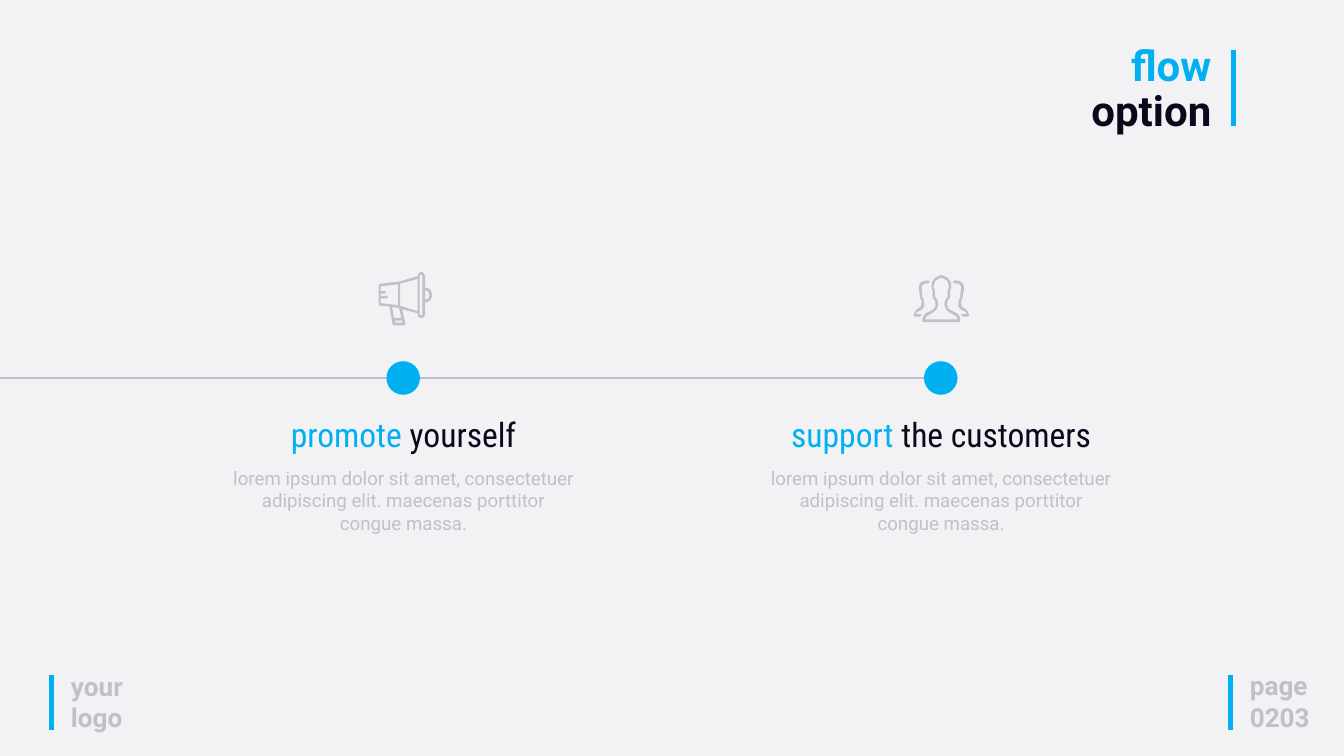
"""Build the "flow option" slide: a two-step timeline with icons and captions."""
from lxml import etree
from pptx import Presentation
from pptx import util as u
from pptx.dml.color import RGBColor
from pptx.enum import shapes, text
from pptx.oxml import ns

PX = 9525
ICON_UNIT = 9144
COLORS = {"bg": "F2F2F5", "accent": "00B0F0", "dark": "0A091B", "grey": "C0C0C8"}
LEFT, CENTER, RIGHT = text.PP_ALIGN.LEFT, text.PP_ALIGN.CENTER, text.PP_ALIGN.RIGHT


def rgb(name):
    return RGBColor.from_string(COLORS[name])


def mirror(points, width):
    return [(width - x, y) for x, y in reversed(points)]


MEGAPHONE = [
    [(69, 24), (69, 6), (67, 2), (63, 0), (60, 2), (58, 6), (58, 7), (30, 15),
     (3, 18), (1, 19), (0, 22), (0, 47), (1, 50), (3, 51), (16, 52), (21, 79),
     (23, 80), (38, 80), (40, 78), (35, 56), (58, 62), (58, 64), (60, 68),
     (63, 69), (67, 68), (69, 64), (69, 46), (74, 45), (78, 41), (80, 35),
     (78, 29), (74, 25)],
    [(3, 47), (3, 40), (12, 40), (14, 38), (12, 36), (3, 36), (3, 33), (9, 33),
     (11, 31), (9, 29), (3, 29), (3, 22), (29, 19), (29, 50)],
    [(23, 69), (20, 53), (30, 54), (34, 69)],
    [(35, 73), (36, 76), (25, 76), (24, 73)],
    [(58, 59), (32, 51), (32, 18), (58, 11)],
    [(65, 64), (63, 66), (61, 64), (61, 6), (63, 4), (65, 6)],
    [(69, 42), (69, 27), (74, 30), (76, 35), (74, 40)],
]

PEOPLE_WIDTH = 83
SIDE_PERSON = [
    (9, 53), (13, 51), (16, 47), (16, 42), (15, 36), (13, 32), (13, 26), (12, 19),
    (13, 15), (16, 13), (23, 12), (24, 10), (24, 9), (21, 8), (14, 9), (10, 12),
    (8, 17), (8, 23), (9, 27), (10, 34), (12, 38), (12, 42), (11, 47), (8, 49),
    (3, 53), (0, 60), (2, 62), (10, 62), (12, 58), (4, 58), (5, 55)]
FRONT_OUTER = [
    (41, 0), (36, 2), (31, 5), (27, 12), (27, 19), (29, 25), (28, 30), (29, 34),
    (32, 38), (33, 44), (31, 50), (26, 53), (18, 57), (14, 62), (13, 68), (15, 70)]
FRONT_INNER = [
    (41, 4), (37, 6), (33, 8), (31, 13), (30, 18), (32, 23), (32, 32), (36, 38),
    (37, 44), (34, 52), (27, 57), (20, 61), (17, 66)]
PEOPLE = [SIDE_PERSON, mirror(SIDE_PERSON, PEOPLE_WIDTH)]
PEOPLE += [half + mirror(half, PEOPLE_WIDTH) for half in (FRONT_OUTER, FRONT_INNER)]


class Deck:
    """Hold the style and the current slide."""

    def __init__(self, width, height):
        self.prs = Presentation()
        self.prs.slide_width, self.prs.slide_height = width * PX, height * PX
        self.s = self.prs.slides.add_slide(self.prs.slide_layouts[6])
        fill = self.s.background.fill
        fill.solid()
        fill.fore_color.rgb = rgb("bg")

    def line(self, x1, y1, x2, y2, color, weight):
        sp = self.s.shapes.add_connector(
            shapes.MSO_CONNECTOR.STRAIGHT, x1 * PX, y1 * PX, x2 * PX, y2 * PX)
        sp.line.color.rgb = rgb(color)
        sp.line.width = u.Pt(weight)
        etree.SubElement(sp._element.spPr, ns.qn("a:effectLst"))

    def paint(self, sp, color):
        sp.shadow.inherit = False
        sp.fill.solid()
        sp.fill.fore_color.rgb = rgb(color)
        sp.line.fill.background()

    def dot(self, cx, cy, size):
        sp = self.s.shapes.add_shape(
            shapes.MSO_SHAPE.OVAL, (cx - size // 2) * PX, (cy - size // 2) * PX,
            size * PX, size * PX)
        self.paint(sp, "accent")

    def icon(self, x, y, contours):
        builder = self.s.shapes.build_freeform(*contours[0][0], scale=1 / ICON_UNIT * ICON_UNIT ** 2)
        builder.add_line_segments(contours[0][1:], close=True)
        for contour in contours[1:]:
            builder.move_to(*contour[0])
            builder.add_line_segments(contour[1:], close=True)
        self.paint(builder.convert_to_shape(x * PX, y * PX), "grey")

    def text(self, x, y, w, h, paragraphs, size, font="Roboto", bold=False,
             align=LEFT, spacing=None):
        tf = self.s.shapes.add_textbox(x * PX, y * PX, w * PX, h * PX).text_frame
        tf.word_wrap = True
        for i, runs in enumerate(paragraphs):
            p = tf.add_paragraph() if i else tf.paragraphs[0]
            p.alignment, p.line_spacing = align, spacing
            p.font.name, p.font.size, p.font.bold = font, u.Pt(size), bold
            if len(runs) == 1:
                p.font.color.rgb = rgb(runs[0][1])
            for content, color in runs:
                if content == "\n":
                    p.add_line_break()
                    continue
                r = p.add_run()
                r.text = content
                if len(runs) > 1:
                    r.font.color.rgb = rgb(color)


def main():
    deck = Deck(1920, 1080)

    for x, top, bottom in ((74, 965, 1043), (1758, 965, 1043), (1762, 72, 180)):
        deck.line(x, top, x, bottom, "accent", 5)
    deck.text(92, 953, 114, 100, [[("your logo", "grey")]], 28, bold=True)
    deck.text(1776, 952, 182, 100, [[("page", "grey")], [("0203", "grey")]], 28, bold=True)
    deck.text(1168, 60, 572, 140,
              [[("flow", "accent"), ("\n", None), ("option", "dark")]],
              45, bold=True, align=RIGHT, spacing=0.9)

    axis, dot, width = 540, 48, 593
    steps = [
        (576, "promote ", "yourself", MEGAPHONE, 541, 388),
        (1344, "support ", "the customers", PEOPLE, 1305, 393),
    ]
    body = ["lorem ipsum dolor sit amet, consectetuer adipiscing elit. maecenas porttitor",
            "congue massa."]
    start = 0
    for cx, verb, rest, icon, icon_x, icon_y in steps:
        deck.line(start, axis, cx - dot // 2, axis, "grey", 2)
        start = cx + dot // 2
        deck.dot(cx, axis, dot)
        deck.icon(icon_x, icon_y, icon)
        left = cx - width // 2
        deck.text(left, 586, width, 68, [[(verb, "accent"), (rest, "dark")]],
                  36, font="Roboto Condensed", align=CENTER)
        deck.text(left, 662, width, 107, [[(line, "grey")] for line in body],
                  20, align=CENTER)

    deck.prs.save("out.pptx")


if __name__ == "__main__":
    main()
